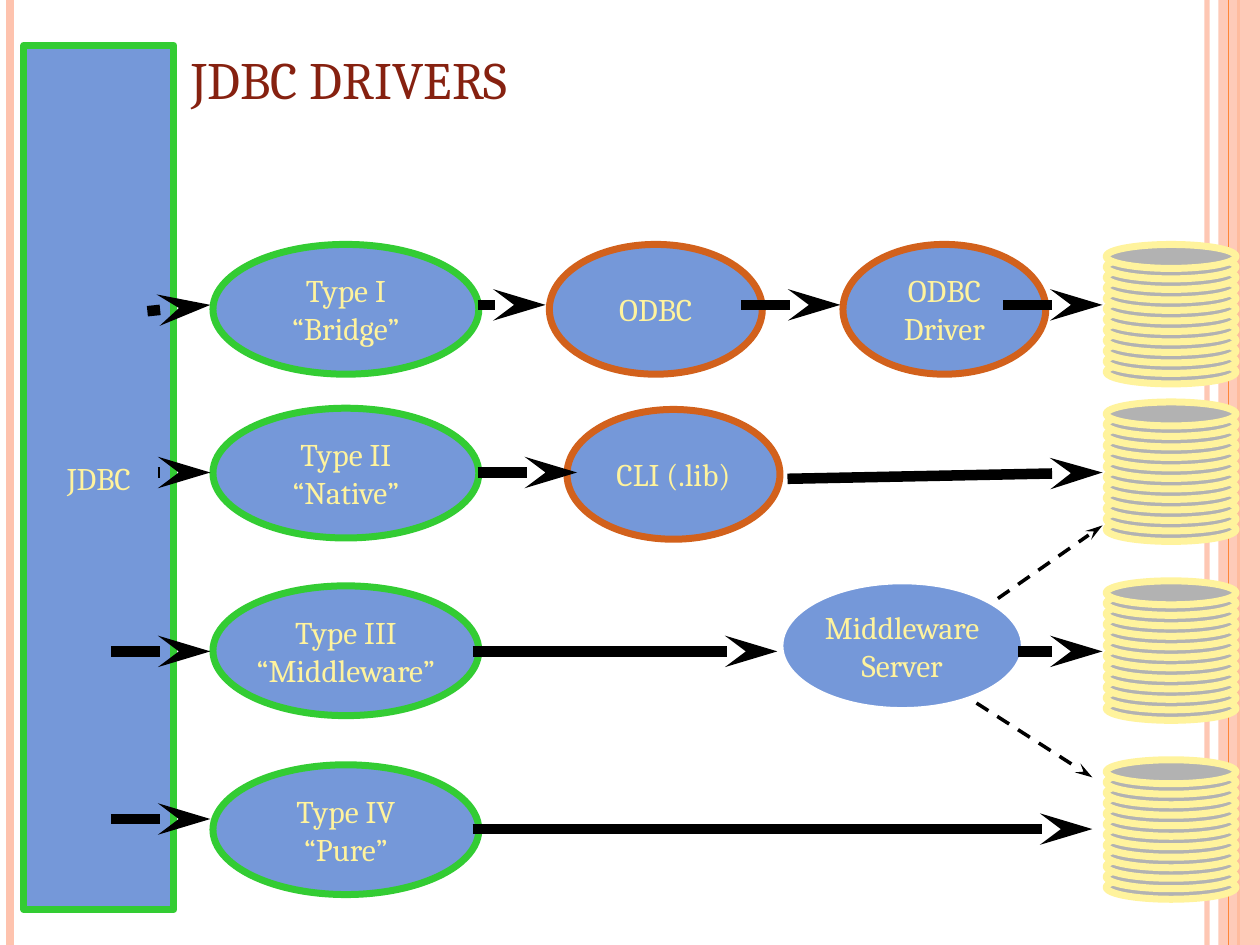
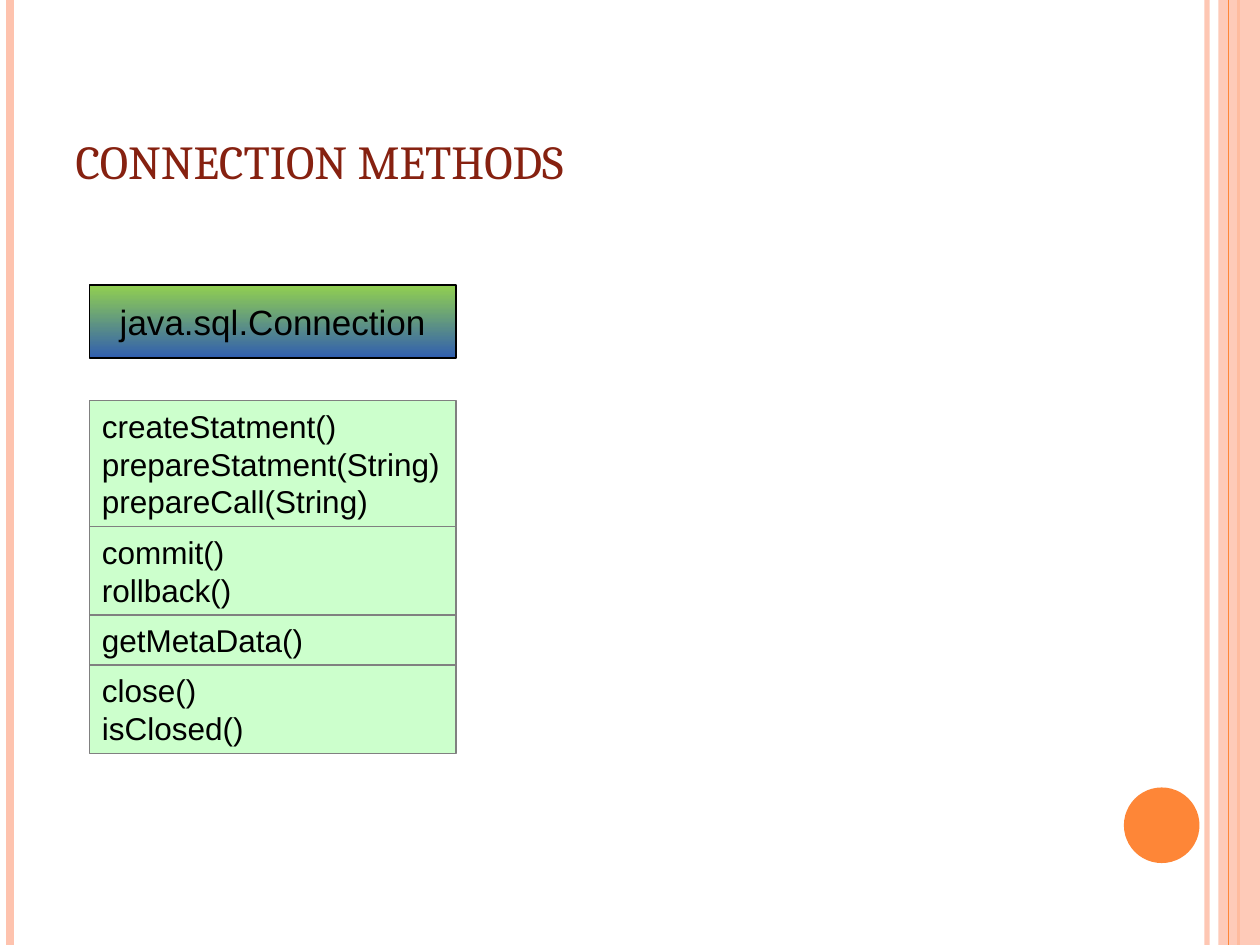
"""Build two slides on JDBC: the four driver types and the Connection methods."""
from lxml.etree import SubElement
from pptx import Presentation
from pptx.dml.color import RGBColor
from pptx.enum.dml import MSO_LINE
from pptx.enum.shapes import MSO_CONNECTOR, MSO_SHAPE
from pptx.enum.text import MSO_ANCHOR, MSO_AUTO_SIZE, PP_ALIGN
from pptx.oxml.ns import qn
from pptx.util import Inches, Pt

rgb = RGBColor.from_string
PEACH, ORANGE, MAROON = "FEC3AE", "FE8637", "862110"
BLUE, GREEN, RUST, CREAM = "7598D9", "33CC33", "D2611C", "FFF39D"
GREY, BLACK, WHITE = "B2B2B2", "000000", "FFFFFF"


def box(shapes, kind, at, fill, line=None, pt=4, text="", font="Cambria", size=18, color=CREAM):
    sh = shapes.add_shape(kind, *[Inches(v) for v in at])
    sh.shadow.inherit = False
    sh.fill.solid()
    sh.fill.fore_color.rgb = rgb(fill)
    if line:
        sh.line.color.rgb = rgb(line)
        sh.line.width = Pt(pt)
    else:
        sh.line.fill.background()
    if text:
        tf = sh.text_frame
        tf.text = text
        tf.word_wrap = False
        tf.vertical_anchor = MSO_ANCHOR.MIDDLE
        for p in tf.paragraphs:
            p.alignment = PP_ALIGN.CENTER
            p.font.name, p.font.size = font, Pt(size)
            p.font.color.rgb = rgb(color)
    return sh


def rule(shapes, x1, y1, x2, y2, color, pt, arrow=False):
    c = shapes.add_connector(MSO_CONNECTOR.STRAIGHT, *[Inches(v) for v in (x1, y1, x2, y2)])
    c.line.color.rgb = rgb(color)
    c.line.width = Pt(pt)
    SubElement(c.element.spPr, qn("a:effectLst"))
    if arrow:
        ln = c.element.spPr.find(qn("a:ln"))
        SubElement(ln, qn("a:tailEnd"), type="stealth", w="med", len="lg")
    return c


prs = Presentation()
prs.slide_width, prs.slide_height = Inches(10), Inches(7.5)
layout = prs.slide_layouts[5]

titles = [
    ("JDBC DRIVERS", (1.42, 0.25, 8, 0.67), 30),
    ("CONNECTION METHODS", (0.5, 0.92, 8.17, 0.63), 27),
]
for text, at, size in titles:
    s = prs.slides.add_slide(layout)
    t = s.shapes.title
    t.left, t.top, t.width, t.height = [Inches(v) for v in at]
    tf = t.text_frame
    tf.text = text
    tf.auto_size = MSO_AUTO_SIZE.NONE
    tf.vertical_anchor = MSO_ANCHOR.BOTTOM
    p = tf.paragraphs[0]
    p.alignment = PP_ALIGN.LEFT
    r = p.runs[0]
    r.font.name, r.font.size = "Cambria", Pt(size)
    r.font.color.rgb = rgb(MAROON)
drivers, methods = prs.slides

sp = drivers.shapes
bands = [rule(sp, x, 0, x, 7.5, color, pt)
         for x, color, pt in [(9.58, PEACH, 3), (0.08, PEACH, 4.5), (9.83, ORANGE, 1.5)]]
bands.append(box(sp, MSO_SHAPE.RECTANGLE, (9.67, 0, 0.33, 7.5), PEACH))
bands.append(rule(sp, 9.75, 0, 9.75, 7.5, ORANGE, 0.75))
bands.append(box(sp, MSO_SHAPE.OVAL, (8.92, 6.25, 0.6, 0.6), ORANGE))
for band, opacity in [(bands[0], "93000"), (bands[3], "87000")]:
    SubElement(band.element.find(".//" + qn("a:srgbClr")), qn("a:alpha"), val=opacity)
for i, band in enumerate(bands):
    band.element.find(".//" + qn("p:cNvPr")).set("id", str(20 + i))
    prs.slide_master.shapes.element.append(band.element)

box(sp, MSO_SHAPE.RECTANGLE, (0.19, 0.36, 1.19, 6.86), BLUE, GREEN, text="JDBC")
stages = [
    (1.69, 1.94, 2.11, GREEN, "Type I\n“Bridge”"),
    (1.69, 3.24, 2.11, GREEN, "Type II\n“Native”"),
    (1.69, 4.65, 2.11, GREEN, "Type III\n“Middleware”"),
    (1.69, 6.07, 2.11, GREEN, "Type IV\n“Pure”"),
    (4.36, 1.94, 1.69, RUST, "ODBC"),
    (6.69, 1.94, 1.61, RUST, "ODBC\nDriver"),
    (4.5, 3.25, 1.69, RUST, "CLI (.lib)"),
    (6.19, 4.61, 1.94, WHITE, "Middleware\nServer"),
]
for x, y, w, line, text in stages:
    box(sp, MSO_SHAPE.OVAL, (x, y, w, 1.03), BLUE, line, text=text)

for top in (1.94, 3.19, 4.61, 6.03):
    database = sp.add_group_shape()
    for disc in reversed(range(12)):
        box(database.shapes, MSO_SHAPE.OVAL, (8.78, top + disc / 12, 1.03, 0.19), GREY, CREAM)

calls = [
    (3.75, 6.58, 8.67, 6.58), (3.75, 5.17, 6.17, 5.17), (3.79, 3.75, 4.58, 3.75),
    (3.79, 2.42, 4.33, 2.42), (5.88, 2.42, 6.67, 2.42), (7.96, 2.42, 8.75, 2.42),
    (6.25, 3.8, 8.75, 3.75), (8.08, 5.17, 8.75, 5.17), (1.25, 3.75, 1.67, 3.75),
    (1.17, 2.47, 1.67, 2.42), (0.88, 6.5, 1.67, 6.5), (0.88, 5.17, 1.67, 5.17),
]
for ends in calls:
    rule(sp, *ends, BLACK, 6, arrow=True)
for ends in [(7.92, 4.75, 8.75, 4.17), (7.75, 5.58, 8.67, 6.17)]:
    c = rule(sp, *ends, BLACK, 2, arrow=True)
    c.line.dash_style = MSO_LINE.DASH

sp = methods.shapes
left, width = 0.71, 2.91
header = box(sp, MSO_SHAPE.RECTANGLE, (left, 2.26, width, 0.58), BLUE, BLACK, 1,
             "java.sql.Connection", "Arial", 20, BLACK)
header.fill.gradient()
header.fill.gradient_angle = 270
for stop, color in zip(header.fill.gradient_stops, ("92D050", "315FAF")):
    stop.color.rgb = rgb(color)

top = 3.18
groups = [
    "createStatment()\nprepareStatment(String)\nprepareCall(String)",
    "commit()\nrollback()",
    "getMetaData()",
    "close()\nisClosed()",
]
for text in groups:
    height = 0.1 + 0.3 * len(text.split("\n"))
    sh = box(sp, MSO_SHAPE.RECTANGLE, (left, top, width, height), "CCFFCC", "808080", 1,
             text, "Arial", 18, BLACK)
    tf = sh.text_frame
    tf.word_wrap = True
    tf.margin_right = 0
    tf.vertical_anchor = MSO_ANCHOR.TOP
    for p in tf.paragraphs:
        p.alignment = PP_ALIGN.LEFT
    top += height

prs.save("out.pptx")
